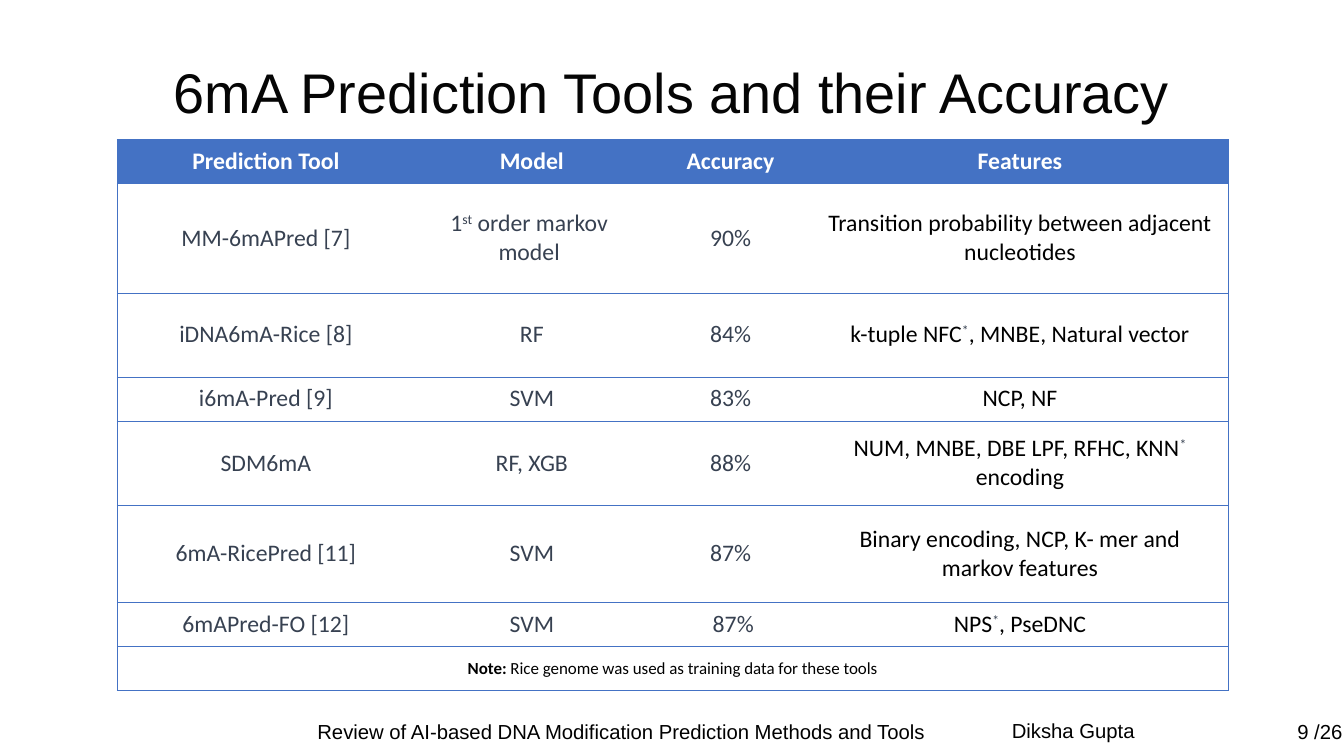
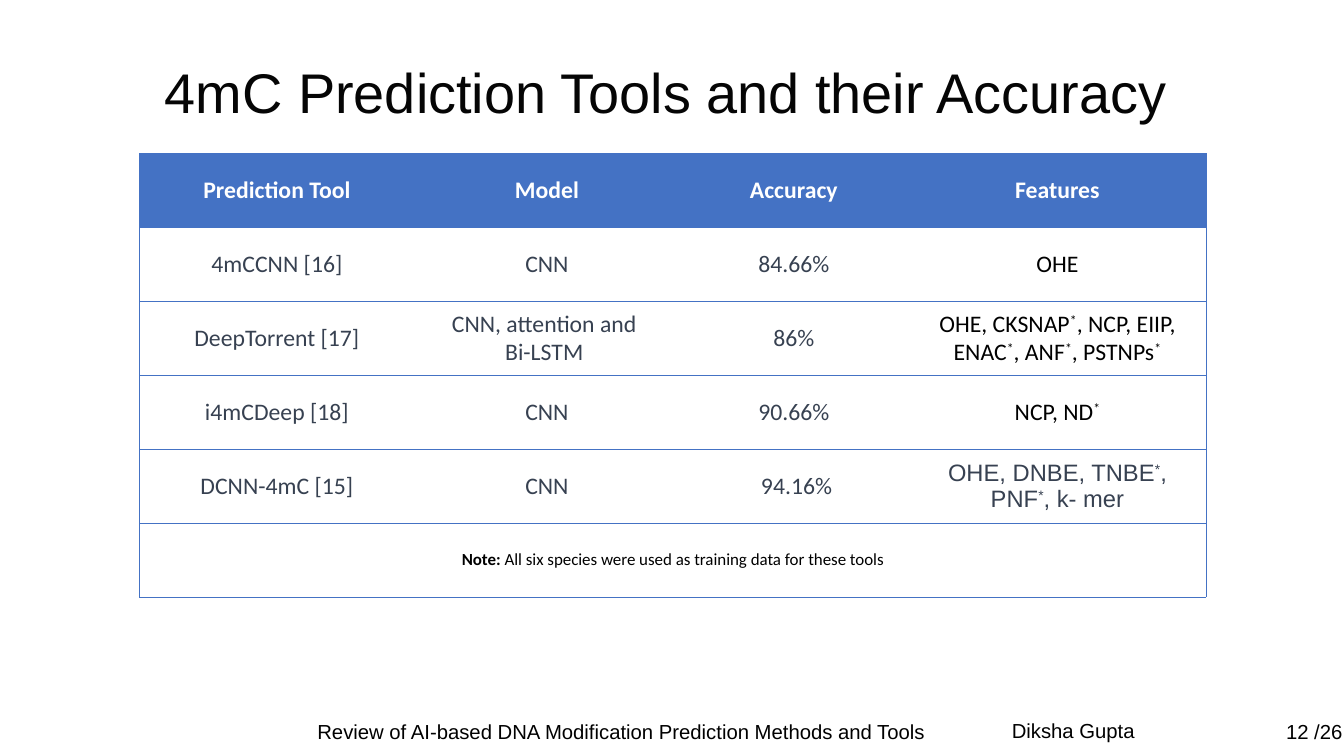
from dataclasses import dataclass

from lxml import etree
from pptx import Presentation
from pptx.dml.color import RGBColor
from pptx.enum.text import MSO_ANCHOR, PP_ALIGN
from pptx.oxml.ns import qn
from pptx.util import Cm, Pt

LEFT, MID, RIGHT = PP_ALIGN.LEFT, PP_ALIGN.CENTER, PP_ALIGN.RIGHT
MIDDLE = MSO_ANCHOR.MIDDLE


@dataclass(frozen=True)
class Theme:
    blue: str = "4472C4"
    slate: str = "374151"
    ink: str = "050505"
    black: str = "000000"
    white: str = "FFFFFF"
    head: str = "Arial"
    body: str = "Calibri"
    title: int = 33
    cell: int = 14
    foot: int = 12
    note: int = 10
    line: float = 0.23


HEADS = ["Prediction Tool", "Model", "Accuracy", "Features"]
TOPIC = "Review of AI-based DNA Modification Prediction Methods and Tools"
AUTHOR = "Diksha Gupta"
TOTAL = 26

# Text between carets is raised
SIX_ROWS = [
    ["MM-6mAPred [7]", "1^st^ order markov \nmodel ", "90%",
     "Transition probability between adjacent nucleotides"],
    ["iDNA6mA-Rice [8]", "RF", "84%", "k-tuple NFC^*^, MNBE, Natural vector"],
    ["i6mA-Pred [9]", "SVM", "83%", "NCP, NF"],
    ["SDM6mA", "RF, XGB", "88%", "NUM, MNBE, DBE LPF, RFHC, KNN^*^ encoding"],
    ["6mA-RicePred [11]", "SVM", "87%",
     "Binary encoding, NCP, K- mer and markov features"],
    ["6mAPred-FO [12]", "SVM", " 87%", "NPS^*^, PseDNC"],
]
FOUR_ROWS = [
    ["4mCCNN [16]", "CNN", "84.66%", "OHE"],
    ["DeepTorrent [17]", "CNN, attention and \nBi-LSTM ", "86%",
     "OHE, CKSNAP^*^, NCP, EIIP, ENAC^*^, ANF^*^, PSTNPs^*^"],
    ["i4mCDeep [18]", "CNN", "90.66%", "NCP, ND^*^"],
    ["DCNN-4mC [15]", "CNN", " 94.16%", "OHE, DNBE, TNBE^*^, PNF^*^, k- mer"],
]


class Deck:
    def __init__(self, theme):
        self.theme = theme
        self.prs = Presentation()
        self.prs.slide_width, self.prs.slide_height = Cm(28), Cm(15.75)
        self.slide = None

    def page(self, num, title, left):
        """Start a slide with its footer and title."""
        t = self.theme
        self.slide = self.prs.slides.add_slide(self.prs.slide_layouts[6])
        for box, text, side in [
            ((24.89, 14.86, 3.33, 0.84), f"{num} /{TOTAL}", RIGHT),
            ((20.83, 14.83, 3.18, 0.76), AUTHOR, LEFT),
            ((5.99, 14.86, 13.92, 0.76), TOPIC, MID),
        ]:
            frame = self.text(box, text, t.foot, t.black, side)
            frame.word_wrap = False
        frame = self.text((left, 0.61, 22.5, 2.59), title, t.title, t.ink, MID)
        frame.vertical_anchor = MIDDLE
        frame.margin_left = frame.margin_right = 0
        frame.margin_top = frame.margin_bottom = 0

    def text(self, box, text, size, color, side):
        frame = self.slide.shapes.add_textbox(*map(Cm, box)).text_frame
        frame.word_wrap = True
        para = frame.paragraphs[0]
        para.alignment = side
        self.run(para, text, size, color, self.theme.head)
        return frame

    def run(self, para, text, size, color, face, bold=False, high=False):
        run = para.add_run()
        run.text = text
        font = run.font
        font.size, font.name, font.bold = Pt(size), face, bold
        font.color.rgb = RGBColor.from_string(color)
        if high:
            run._r.get_or_add_rPr().set("baseline", "30000")

    def edges(self, cell, sides):
        """Draw the named sides of a cell and clear the others."""
        props = cell._tc.get_or_add_tcPr()
        for side in "LRTB":
            line = etree.SubElement(props, qn(f"a:ln{side}"))
            line.set("w", str(int(Pt(self.theme.line))))
            if side in sides:
                fill = etree.SubElement(line, qn("a:solidFill"))
                etree.SubElement(fill, qn("a:srgbClr")).set("val", self.theme.blue)
            else:
                etree.SubElement(line, qn("a:noFill"))

    def fill(self, cell, text, color, star, face, bold=False):
        """Write a cell's paragraphs, with raised parts in the star colour."""
        frame = cell.text_frame
        for i, row in enumerate(text.split("\n")):
            para = frame.add_paragraph() if i else frame.paragraphs[0]
            para.alignment = MID
            for j, part in enumerate(row.split("^")):
                if part:
                    high = j % 2 == 1
                    self.run(para, part, self.theme.cell,
                             star if high else color, face, bold, high)

    def table(self, left, top, cols, rows, data, note, star, plain=()):
        """Draw a tool table; plain lists rows whose features use the title face."""
        t = self.theme
        grid = self.slide.shapes.add_table(
            len(rows), len(cols), Cm(left), Cm(top),
            Cm(sum(cols)), Cm(sum(rows))).table
        grid.first_row = grid.horz_banding = False
        for col, width in zip(grid.columns, cols):
            col.width = Cm(width)
        for row, height in zip(grid.rows, rows):
            row.height = Cm(height)

        last, end = len(cols) - 1, len(rows) - 1
        grid.cell(end, 0).merge(grid.cell(end, last))
        for r in range(len(rows)):
            for c in range(len(cols)):
                cell = grid.cell(r, c)
                cell.vertical_anchor = MIDDLE
                sides = "TB"
                if c == 0 or r == end:
                    sides += "L"
                if c == last or r == end:
                    sides += "R"
                self.edges(cell, sides)
                if r == 0:
                    cell.fill.solid()
                    cell.fill.fore_color.rgb = RGBColor.from_string(t.blue)
                    self.fill(cell, HEADS[c], t.white, t.white, t.body, True)
                    continue
                cell.fill.background()
                if r == end:
                    continue
                text = data[r - 1][c]
                if c < last:
                    self.fill(cell, text, t.slate, t.slate, t.body)
                elif r in plain:
                    self.fill(cell, text, t.slate, t.slate, t.head)
                else:
                    self.fill(cell, text, t.black, star, t.body)

        # Note across the last row
        para = grid.cell(end, 0).text_frame.paragraphs[0]
        para.alignment = MID
        self.run(para, "Note: ", t.note, t.black, t.body, True)
        self.run(para, note, t.note, t.black, t.body)


def main():
    theme = Theme()
    deck = Deck(theme)

    # 6mA tools
    deck.page(9, "6mA Prediction Tools and their Accuracy", 2.74)
    deck.table(2.44, 2.9, [6.2, 4.88, 3.4, 8.66],
               [0.92, 2.28, 1.75, 0.92, 1.75, 2.03, 0.92, 0.92], SIX_ROWS,
               "Rice genome was used as training data for these tools",
               theme.slate)

    # 4mC tools
    deck.page(12, "4mC Prediction Tools and their Accuracy", 2.62)
    deck.table(2.9, 3.2, [5.74, 5.51, 4.78, 6.2], [1.54] * 6, FOUR_ROWS,
               "All six species were used as training data for these tools",
               theme.black, plain=(4,))

    deck.prs.save("out.pptx")


if __name__ == "__main__":
    main()
